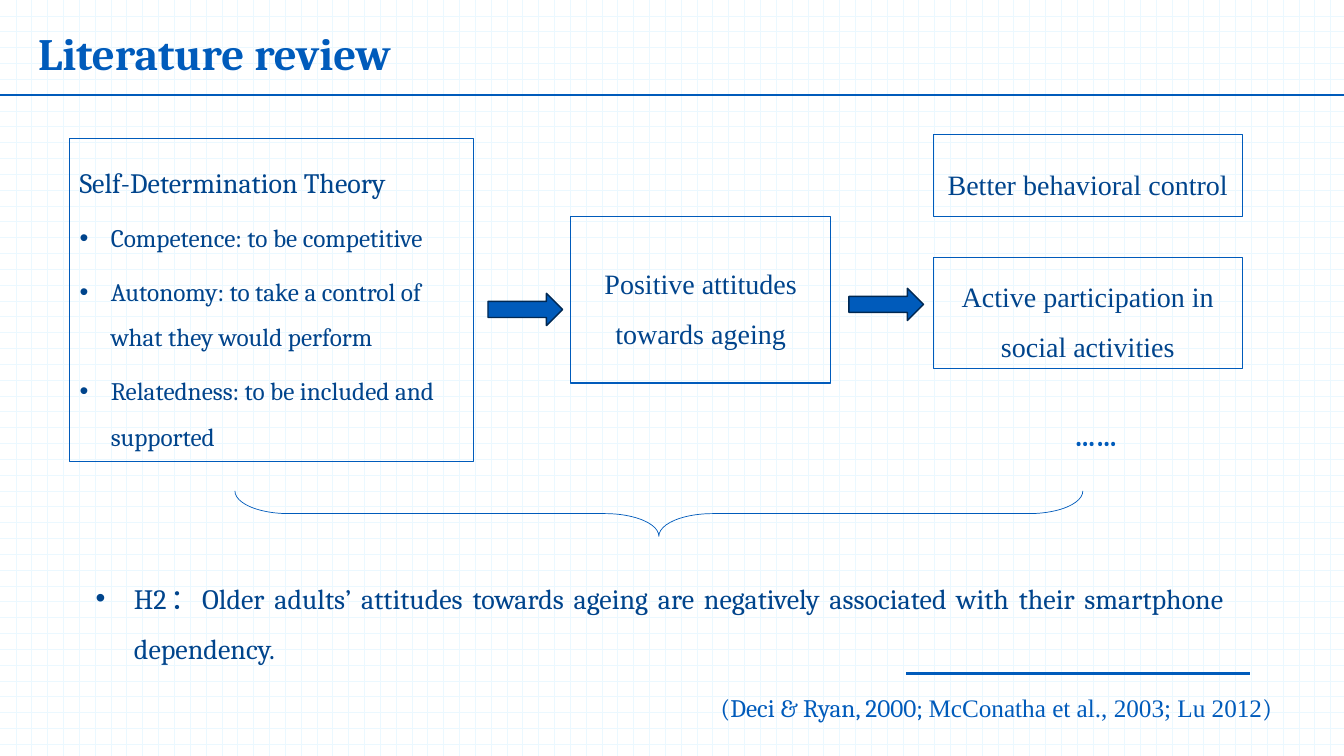
from lxml import etree
from pptx import Presentation
from pptx.dml.color import RGBColor
from pptx.enum.dml import MSO_PATTERN
from pptx.enum.shapes import MSO_CONNECTOR, MSO_SHAPE
from pptx.enum.text import MSO_ANCHOR, MSO_AUTO_SIZE, PP_ALIGN
from pptx.oxml.ns import qn
from pptx.util import Inches, Pt

RECT, ARROW, BRACE = MSO_SHAPE.RECTANGLE, MSO_SHAPE.RIGHT_ARROW, MSO_SHAPE.LEFT_BRACE
LEFT, CENTER, JUSTIFY = PP_ALIGN.LEFT, PP_ALIGN.CENTER, PP_ALIGN.JUSTIFY
TOP, MIDDLE = MSO_ANCHOR.TOP, MSO_ANCHOR.MIDDLE
BLUE, NAVY, EDGE = "005BBB", "00448C", "002852"
SERIF, TIMES = "Cambria", "Times New Roman"


def rgb(color):
    return RGBColor.from_string(color)


def add_line(s, x1, y1, x2, y2, width):
    line = s.shapes.add_connector(
        MSO_CONNECTOR.STRAIGHT, Inches(x1), Inches(y1), Inches(x2), Inches(y2))
    line.line.color.rgb = rgb(BLUE)
    line.line.width = Pt(width)
    etree.SubElement(line._element.spPr, qn("a:effectLst"))


def add_shape(s, kind, box, fill=None, color=BLUE, width=0.75):
    sp = s.shapes.add_shape(kind, *map(Inches, box))
    sp.shadow.inherit = False
    if fill:
        sp.fill.solid()
        sp.fill.fore_color.rgb = rgb(fill)
    else:
        sp.fill.background()
    sp.line.color.rgb = rgb(color)
    sp.line.width = Pt(width)
    return sp


def add_textbox(s, box, anchor=TOP, grow=False):
    tf = s.shapes.add_textbox(*map(Inches, box)).text_frame
    tf.word_wrap = True
    tf.vertical_anchor = anchor
    tf.auto_size = MSO_AUTO_SIZE.SHAPE_TO_FIT_TEXT if grow else MSO_AUTO_SIZE.NONE
    return tf


def add_run(p, text, size, font=SERIF, color=NAVY, bold=False):
    r = p.add_run()
    r.text = text
    r.font.size = Pt(size)
    r.font.name = font
    r.font.bold = bold
    r.font.color.rgb = rgb(color)


def space(p, align):
    p.alignment = align
    p.line_spacing = 1.5
    p.space_after = Pt(6)


def add_bullet(p, indent):
    pPr = p._p.get_or_add_pPr()
    pPr.set("marL", str(Inches(indent)))
    pPr.set("indent", str(Inches(-indent)))
    etree.SubElement(pPr, qn("a:buFont"), typeface="Arial")
    etree.SubElement(pPr, qn("a:buChar"), char="•")


def add_header(s, x, y, w, h):
    add_line(s, 0, 0.94, 13.33, 0.94, 1.5)
    tf = add_textbox(s, (x, y, w, h), MIDDLE)
    add_run(tf.paragraphs[0], "Literature review", 32, color=BLUE, bold=True)


def add_theory(s, x, y, w, h):
    tf = add_shape(s, RECT, (x, y, w, h)).text_frame
    tf.vertical_anchor = MIDDLE
    p = tf.paragraphs[0]
    space(p, LEFT)
    add_run(p, "Self-Determination Theory", 20)
    for need in ("Competence: to be competitive",
                 "Autonomy: to take a control of what they would perform",
                 "Relatedness: to be included and supported"):
        p = tf.add_paragraph()
        space(p, LEFT)
        add_bullet(p, 0.31)
        add_run(p, need, 18)


def add_concept(s, x, y, w, h, text):
    tf = add_shape(s, RECT, (x, y, w, h)).text_frame
    tf.vertical_anchor = MIDDLE
    p = tf.paragraphs[0]
    space(p, CENTER)
    add_run(p, text, 20, TIMES)


def add_outcomes(s, x, y, w):
    add_concept(s, x, y, w, 0.82, "Better behavioral control")
    add_concept(s, x, y + 1.22, w, 1.11, "Active participation in social activities")
    p = add_textbox(s, (x, y + 2.77, w + 0.16, 0.44), grow=True).paragraphs[0]
    p.alignment = CENTER
    add_run(p, "……", 20, color=BLUE, bold=True)


def add_brace(s, x, y, w, h):
    cx, cy = x + w / 2, y + h / 2
    brace = add_shape(s, BRACE, (cx - h / 2, cy - w / 2, h, w), width=0.5)
    brace.rotation = 270
    brace.adjustments[0] = 1.185
    brace.adjustments[1] = 0.5


def add_hypothesis(s, x, y, w, h):
    p = add_textbox(s, (x, y, w, h)).paragraphs[0]
    space(p, JUSTIFY)
    add_bullet(p, 0.38)
    add_run(p, "H2：Older adults’ attitudes towards ageing are negatively "
               "associated with their smartphone dependency.", 20)


def add_citation(s, x, y, w, h):
    add_line(s, x + 1.94, y - 0.14, x + 5.35, y - 0.14, 2.25)
    p = add_textbox(s, (x, y, w, h), grow=True).paragraphs[0]
    for text, font in (("(Deci & Ryan, 2000; ", SERIF),
                       ("McConatha et al., 2003; Lu 2012", TIMES),
                       (")", SERIF)):
        add_run(p, text, 18, font, BLUE)


def main():
    prs = Presentation()
    prs.slide_width, prs.slide_height = Inches(13.33), Inches(7.5)
    s = prs.slides.add_slide(prs.slide_layouts[6])
    fill = s.background.fill
    fill.patterned()
    fill.pattern = MSO_PATTERN.DOTTED_GRID
    fill.fore_color.rgb = rgb("EBF8FF")
    fill.back_color.rgb = rgb("FFFFFF")

    add_header(s, 0.28, 0.1, 10.47, 0.85)
    add_theory(s, 0.69, 1.37, 4.01, 3.21)
    add_concept(s, 5.66, 2.15, 2.58, 1.65, "Positive attitudes towards ageing")
    add_outcomes(s, 9.26, 1.33, 3.06)
    for x, y in ((4.84, 2.91), (8.42, 2.86)):
        add_shape(s, ARROW, (x, y, 0.74, 0.32), BLUE, EDGE, 1)
    add_brace(s, 2.33, 4.87, 8.41, 0.45)
    add_hypothesis(s, 0.85, 5.55, 11.39, 1.43)
    add_citation(s, 7.05, 6.82, 6.02, 0.4)
    prs.save("out.pptx")


if __name__ == "__main__":
    main()
